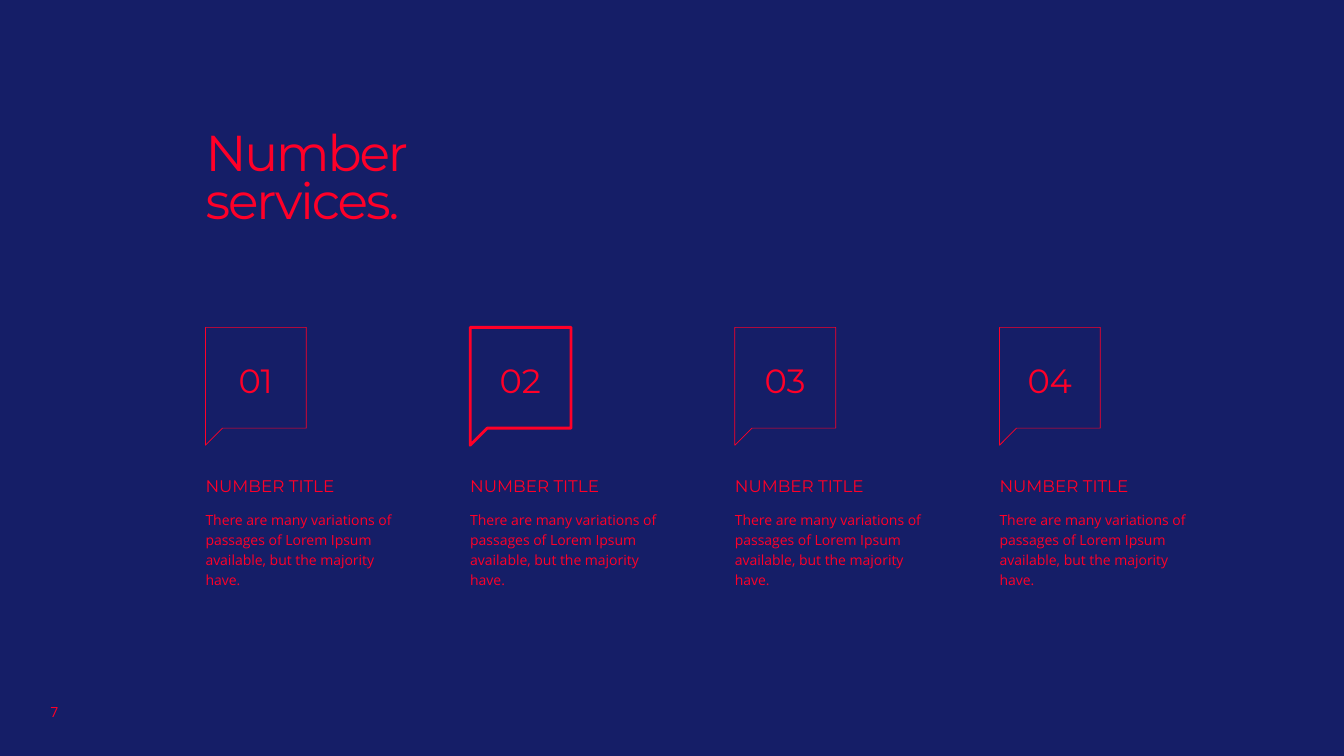
"""Build the numbered services slide with four speech bubbles."""
import pptx
import pptx.dml.color
import pptx.enum.text
import pptx.util

Cm = pptx.util.Cm
Pt = pptx.util.Pt
NAVY = pptx.dml.color.RGBColor(0x15, 0x1E, 0x67)
RED = pptx.dml.color.RGBColor(0xFF, 0x00, 0x28)
LEFT = pptx.enum.text.PP_ALIGN.LEFT
CENTER = pptx.enum.text.PP_ALIGN.CENTER
HEADING_FONT = "Montserrat"
BODY_FONT = "Open Sans"

MARGIN = 5.18
SERVICE_PITCH = 6.67
BUBBLE_TOP = 8.25
BUBBLE_SIDE = 2.54
TAIL = 0.43
HIGHLIGHTED = "02"
SERVICE_TITLE = "NUMBER TITLE"
SERVICE_BODY = (
    "There are many variations of passages of Lorem Ipsum available, "
    "but the majority have."
)


def add_text(slide, box, lines, font, size, align=LEFT, spacing=1.0,
             top_inset=0.13, bottom_inset=0.13, tracking=None, grow=False):
    """Add a text box whose lines share one paragraph."""
    frame = slide.shapes.add_textbox(*map(Cm, box)).text_frame
    frame.word_wrap = True
    if grow:
        frame.auto_size = pptx.enum.text.MSO_AUTO_SIZE.SHAPE_TO_FIT_TEXT
    frame.margin_left = frame.margin_right = 0
    frame.margin_top = Cm(top_inset)
    frame.margin_bottom = Cm(bottom_inset)
    paragraph = frame.paragraphs[0]
    paragraph.alignment = align
    paragraph.line_spacing = spacing
    for index, line in enumerate(lines):
        if index:
            paragraph.add_line_break()
        run = paragraph.add_run()
        run.text = line
        run.font.name = font
        run.font.size = Pt(size)
        run.font.color.rgb = RED
        if tracking is not None:
            run.font._element.set("spc", str(int(tracking * 100)))


def add_bubble(slide, left, line_width):
    """Draw a square speech bubble with its tail at the lower left."""
    right = left + BUBBLE_SIDE
    bottom = BUBBLE_TOP + BUBBLE_SIDE
    corners = [
        (right, BUBBLE_TOP),
        (right, bottom),
        (left + TAIL, bottom),
        (left, bottom + TAIL),
    ]
    builder = slide.shapes.build_freeform(Cm(left), Cm(BUBBLE_TOP))
    builder.add_line_segments([(Cm(x), Cm(y)) for x, y in corners], close=True)
    bubble = builder.convert_to_shape()
    bubble.shadow.inherit = False
    bubble.fill.background()
    bubble.line.color.rgb = RED
    bubble.line.width = Pt(line_width)


def add_service(slide, left, number):
    """Add one service: bubble, title, description and number."""
    add_bubble(slide, left, 2 if number == HIGHLIGHTED else 0.5)
    add_text(slide, (left, 11.99, 5.08, 0.61), [SERVICE_TITLE],
             HEADING_FONT, 12, spacing=0.7, grow=True)
    add_text(slide, (left, 12.67, 5.08, 2.31), [SERVICE_BODY],
             BODY_FONT, 10, spacing=1.2, grow=True)
    add_text(slide, (left + 0.39, 9.22, 1.75, 1.04), [number],
             HEADING_FONT, 24, align=CENTER, spacing=0.7, grow=True)


def main():
    """Assemble and save the slide."""
    deck = pptx.Presentation()
    deck.slide_width = Cm(33.87)
    deck.slide_height = Cm(19.05)
    slide = deck.slides.add_slide(deck.slide_layouts[6])
    slide.background.fill.solid()
    slide.background.fill.fore_color.rgb = NAVY
    add_text(slide, (0.66, 17.6, 1.42, 0.64), ["7"], BODY_FONT, 10, align=CENTER)
    add_text(slide, (MARGIN, 2.82, 11.73, 4.5), ["Number", "services."],
             HEADING_FONT, 36, spacing=0.8, top_inset=0.53,
             bottom_inset=0, tracking=-1.5)
    for index, number in enumerate(["01", "02", "03", "04"]):
        add_service(slide, MARGIN + index * SERVICE_PITCH, number)
    deck.save("out.pptx")


if __name__ == "__main__":
    main()
